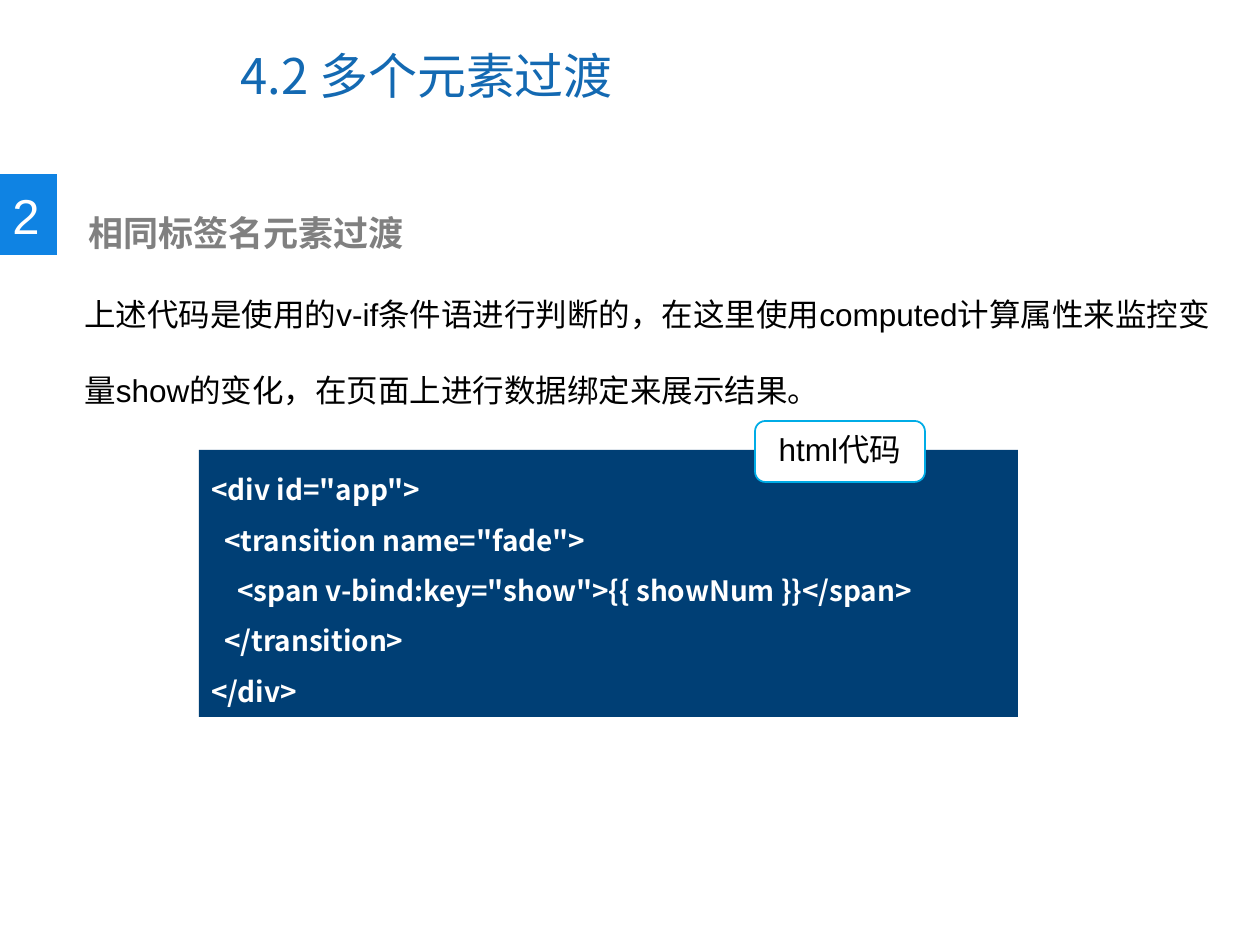
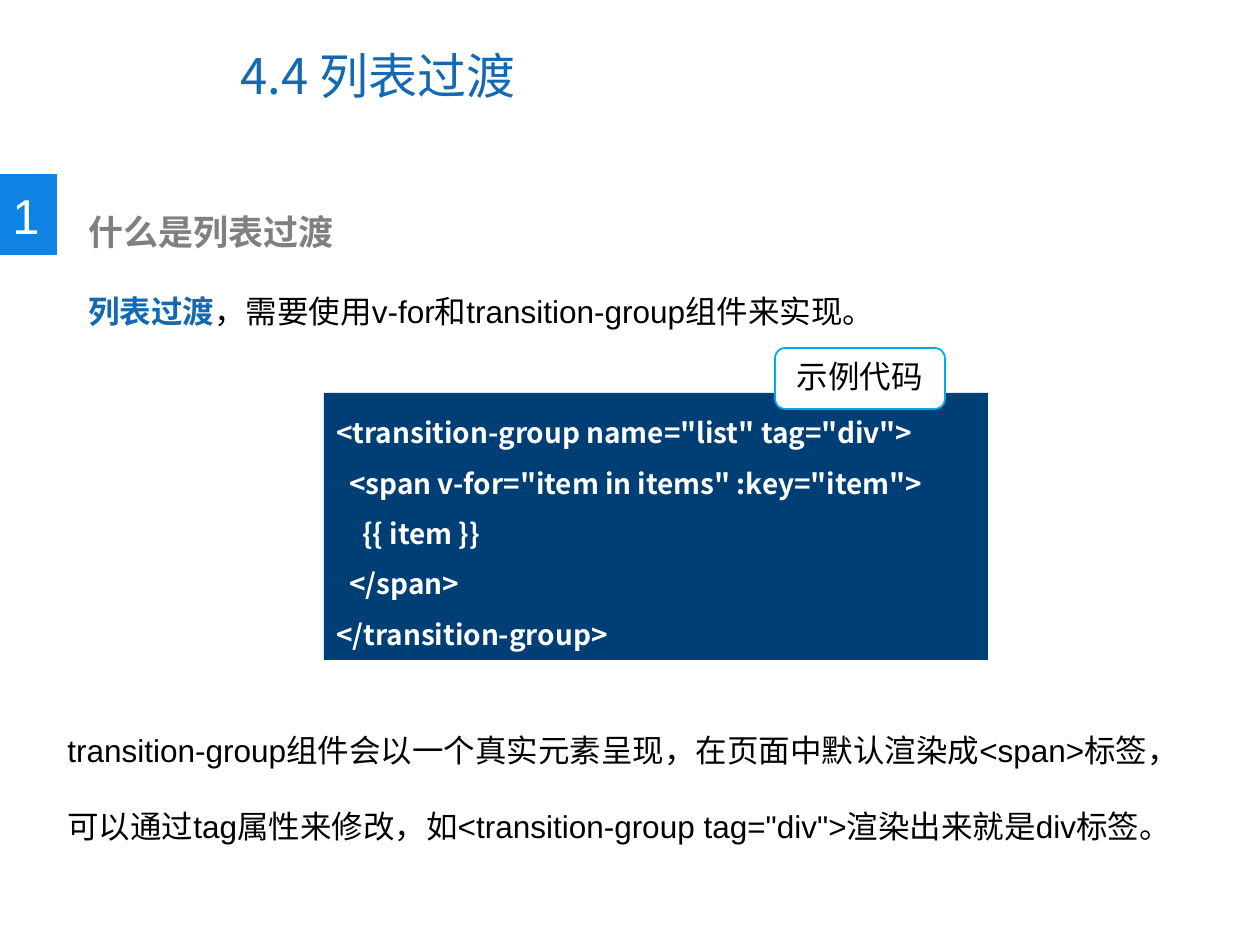
from dataclasses import dataclass

from lxml.etree import SubElement
from pptx import Presentation
from pptx.dml.color import RGBColor
from pptx.enum.shapes import MSO_SHAPE
from pptx.enum.text import MSO_ANCHOR, PP_ALIGN
from pptx.oxml.ns import qn
from pptx.util import Pt

EMU_PER_PX = 914400 / 126


@dataclass(frozen=True)
class Theme:
    """Colours, fonts and type sizes shared by every slide."""
    title: str = "1369B2"
    badge: str = "0F83E3"
    heading: str = "808080"
    code: str = "003F75"
    outline: str = "00ACE6"
    white: str = "FFFFFF"
    black: str = "000000"
    sans: str = "Arial"
    chinese: str = "Noto Sans CJK SC"
    title_size: int = 28
    heading_size: int = 20
    body_size: int = 18
    code_size: int = 16
    body_spacing: float = 2.0
    code_spacing: float = 1.5
    code_indent: int = 13


THEME = Theme()


@dataclass(frozen=True)
class Area:
    """A rectangle in px."""
    left: int
    top: int
    width: int
    height: int

    def emu(self) -> list[int]:
        """Return left, top, width and height in EMU."""
        return [emu(side) for side in (self.left, self.top, self.width, self.height)]


@dataclass(frozen=True)
class Style:
    """The look of a span of text."""
    size: int
    color: str
    bold: bool = False
    font: str = THEME.sans


TITLE = Style(THEME.title_size, THEME.title, font=THEME.chinese)
NUMBER = Style(THEME.title_size, THEME.white)
HEADING = Style(THEME.heading_size, THEME.heading, bold=True)
BODY = Style(THEME.body_size, THEME.black)
KEYWORD = Style(THEME.body_size, THEME.title, bold=True)
CODE = Style(THEME.code_size, THEME.white, bold=True, font=THEME.chinese)


@dataclass(frozen=True)
class Span:
    """A piece of text in one style."""
    text: str
    style: Style = BODY


@dataclass(frozen=True)
class Passage:
    """A body paragraph made of spans."""
    area: Area
    spans: tuple[Span, ...]


@dataclass(frozen=True)
class CodePanel:
    """A listing of (depth, text) lines with a label over its top edge."""
    area: Area
    lines: tuple[tuple[int, str], ...]
    label: str
    label_left: int
    label_top: int


@dataclass(frozen=True)
class Lesson:
    """The content of one slide."""
    title: str
    number: str
    heading: str
    heading_area: Area
    passages: tuple[Passage, ...]
    panel: CodePanel


LESSONS = (
    Lesson(
        "4.2 多个元素过渡", "2", "相同标签名元素过渡", Area(76, 205, 632, 55),
        (Passage(Area(72, 251, 1160, 165), (
            Span("上述代码是使用的v-if条件语进行判断的，在这里使用computed计算属性来监控"
                 "变量show的变化，在页面上进行数据绑定来展示结果。"),)),),
        CodePanel(Area(199, 450, 819, 267), (
            (0, '<div id="app">'),
            (1, '<transition name="fade">'),
            (2, '<span v-bind:key="show">{{ showNum }}</span>'),
            (1, "</transition>"),
            (0, "</div>")), "html代码", 755, 421),
    ),
    Lesson(
        "4.4 列表过渡", "1", "什么是列表过渡", Area(76, 204, 632, 55),
        (Passage(Area(76, 248, 1143, 89), (
            Span("列表过渡", KEYWORD),
            Span("，需要使用v-for和transition-group组件来实现。"))),
         Passage(Area(55, 687, 1143, 165), (
             Span("transition-group组件会以一个真实元素呈现，在页面中默认渲染成<span>标签，"
                  '可以通过tag属性来修改，如<transition-group tag="div">渲染出来就是div标签。'),))),
        CodePanel(Area(324, 393, 664, 267), (
            (0, '<transition-group name="list" tag="div">'),
            (1, '<span v-for="item in items" :key="item">'),
            (2, "{{ item }}"),
            (1, "</span>"),
            (0, "</transition-group>")), "示例代码", 775, 348),
    ),
)


def emu(px: int) -> int:
    """Turn px into EMU."""
    return round(px * EMU_PER_PX)


def apply(target: object, values: dict) -> None:
    """Set each named value on the target."""
    for name, value in values.items():
        setattr(target, name, value)


def write(para, spans: tuple[Span, ...], spacing: float = 1.0, align=PP_ALIGN.LEFT) -> None:
    """Fill a paragraph with styled spans."""
    apply(para, {"line_spacing": spacing, "alignment": align})
    for span in spans:
        run = para.add_run()
        run.text = span.text
        style = span.style
        apply(run.font, {"size": Pt(style.size), "bold": style.bold, "name": style.font})
        run.font.color.rgb = RGBColor.from_string(style.color)
        east_asian = SubElement(run.font._element, qn("a:ea"))
        east_asian.set("typeface", THEME.chinese)
        latin = run.font._element.find(qn("a:latin"))
        latin.addnext(east_asian)


def add_text(page, area: Area, spans: tuple[Span, ...], spacing: float = 1.0,
             wrap: bool = True, anchor=MSO_ANCHOR.TOP) -> None:
    """Add a text box with one paragraph."""
    frame = page.shapes.add_textbox(*area.emu()).text_frame
    apply(frame, {"word_wrap": wrap, "vertical_anchor": anchor})
    write(frame.paragraphs[0], spans, spacing)


def add_block(page, area: Area, fill: str, preset=MSO_SHAPE.RECTANGLE, outline: str = ""):
    """Add a filled shape with an optional outline."""
    box = page.shapes.add_shape(preset, *area.emu())
    box.shadow.inherit = False
    box.fill.solid()
    box.fill.fore_color.rgb = RGBColor.from_string(fill)
    if outline:
        box.line.color.rgb = RGBColor.from_string(outline)
        box.line.width = Pt(1)
    else:
        box.line.fill.background()
    apply(box.text_frame, {"word_wrap": True, "vertical_anchor": MSO_ANCHOR.TOP})
    return box


def add_panel(page, panel: CodePanel) -> None:
    """Add a code listing and its label."""
    frame = add_block(page, panel.area, THEME.code).text_frame
    for index, (depth, text) in enumerate(panel.lines):
        para = frame.add_paragraph() if index else frame.paragraphs[0]
        write(para, (Span(text, CODE),), THEME.code_spacing)
        para._p.get_or_add_pPr().set("marL", str(emu(depth * THEME.code_indent)))
    label_area = Area(panel.label_left, panel.label_top, 170, 61)
    label = add_block(page, label_area, THEME.white, MSO_SHAPE.ROUNDED_RECTANGLE, THEME.outline)
    label.adjustments[0] = 0.17
    write(label.text_frame.paragraphs[0], (Span(panel.label),), align=PP_ALIGN.CENTER)


def add_lesson(deck, lesson: Lesson) -> None:
    """Add one slide to the deck."""
    page = deck.slides.add_slide(deck.slide_layouts[6])
    add_text(page, Area(228, 21, 650, 107), (Span(lesson.title, TITLE),),
             anchor=MSO_ANCHOR.MIDDLE)
    add_block(page, Area(0, 174, 57, 81), THEME.badge)
    add_text(page, Area(0, 179, 53, 72), (Span(lesson.number, NUMBER),), wrap=False)
    add_text(page, lesson.heading_area, (Span(lesson.heading, HEADING),))
    for passage in lesson.passages:
        add_text(page, passage.area, passage.spans, THEME.body_spacing)
    add_panel(page, lesson.panel)


def main() -> None:
    """Build and save the deck."""
    deck = Presentation()
    apply(deck, {"slide_width": emu(1260), "slide_height": emu(945)})
    for lesson in LESSONS:
        add_lesson(deck, lesson)
    deck.save("out.pptx")


if __name__ == "__main__":
    main()
